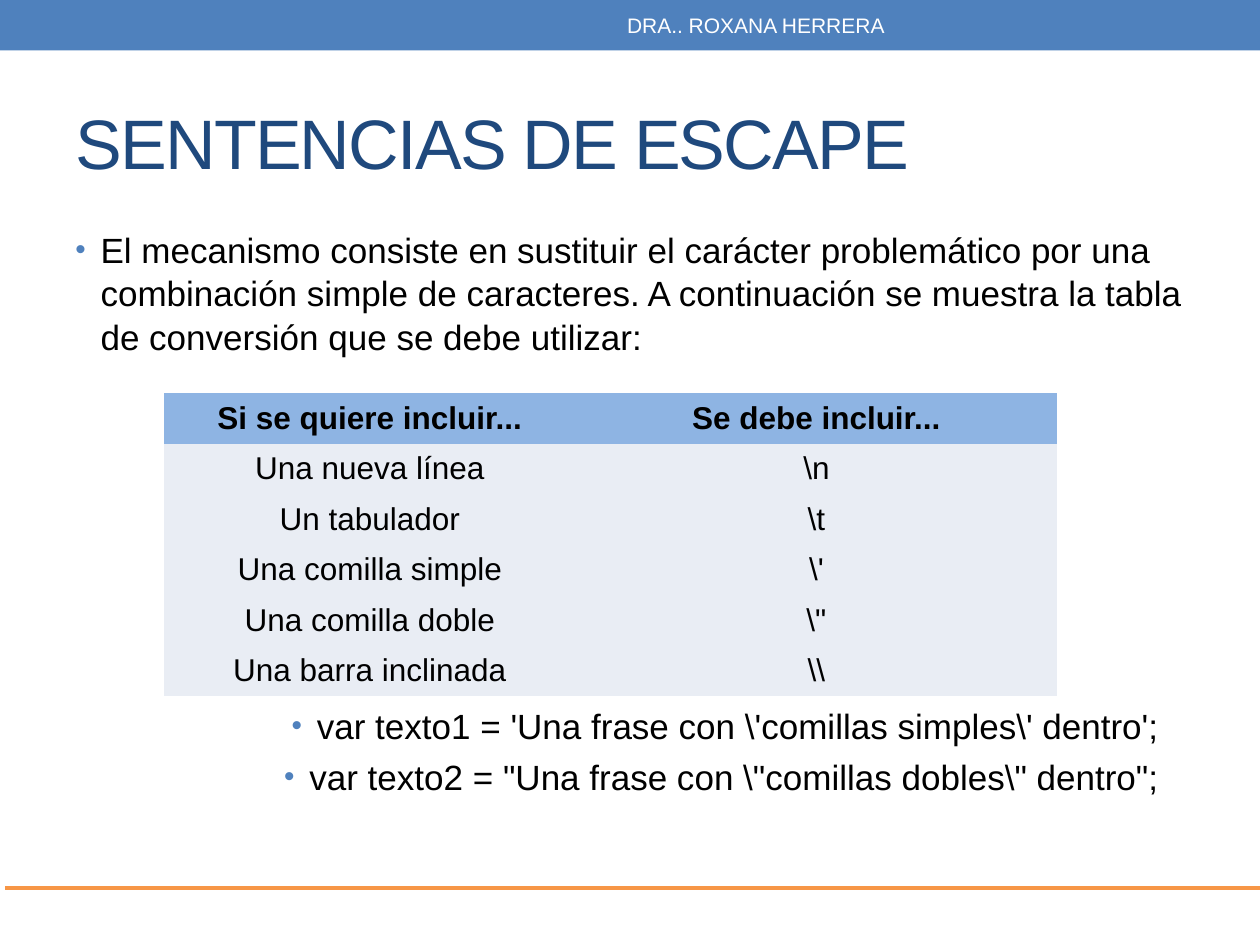
"""Build the slide on JavaScript escape sequences."""
import pptx
import pptx.dml.color
import pptx.enum.shapes
import pptx.enum.text
import pptx.oxml
import pptx.oxml.ns
import pptx.util

COLORS = {"band": "4F81BD", "rule": "F79646", "title": "1F497D", "text": "000000",
          "header": "8EB4E3", "row": "E9EDF4", "white": "FFFFFF"}
ALIGN = pptx.enum.text.PP_ALIGN
MIDDLE = pptx.enum.text.MSO_ANCHOR.MIDDLE
Inches = pptx.util.Inches
qn = pptx.oxml.ns.qn


def color(name):
    return pptx.dml.color.RGBColor.from_string(COLORS[name])


def write(para, text, size, tint="text", bold=False, align=ALIGN.LEFT):
    para.alignment = align
    span = para.add_run()
    span.text = text
    span.font.name = "Arial"
    span.font.size = pptx.util.Pt(size)
    span.font.bold = bold
    span.font.color.rgb = color(tint)
    return span


deck = pptx.Presentation()
deck.slide_width, deck.slide_height = Inches(10), Inches(7.5)
page = deck.slides.add_slide(deck.slide_layouts[5])
width, height = deck.slide_width, deck.slide_height
margin = width * 0.05

band = page.shapes.add_shape(pptx.enum.shapes.MSO_SHAPE.RECTANGLE, 0, 0, width, Inches(0.4))
band.shadow.inherit = False
band.fill.solid()
band.fill.fore_color.rgb = color("band")
band.line.fill.background()

rule_y = int(height * 0.94)
rule = page.shapes.add_connector(
    pptx.enum.shapes.MSO_CONNECTOR.STRAIGHT, Inches(0.04), rule_y, width, rule_y)
rule.line.color.rgb = color("rule")
rule.line.width = pptx.util.Pt(2.25)
rule._element.spPr.append(pptx.oxml.parse_xml(
    f'<a:effectLst {pptx.oxml.ns.nsdecls("a")}/>'))

title = page.shapes.title
title.left, title.top = int(margin), Inches(0.58)
title.width, title.height = int(width * 0.9), Inches(1.08)
title.text_frame.vertical_anchor = MIDDLE
heading = write(title.text_frame.paragraphs[0], "SENTENCIAS DE ESCAPE", 40, "title")
heading._r.get_or_add_rPr().set("spc", "-100")

bullet_lists = [
    (1.75, 9, 1.2, ALIGN.LEFT, [
        "El mecanismo consiste en sustituir el carácter problemático por una "
        "combinación simple de caracteres. A continuación se muestra la tabla "
        "de conversión que se debe utilizar:"]),
    (5.53, 8.8, 0.9, ALIGN.RIGHT, [
        r"var texto1 = 'Una frase con \'comillas simples\' dentro';",
        r'var texto2 = "Una frase con \"comillas dobles\" dentro";']),
]
for top, box_width, box_height, align, lines in bullet_lists:
    box = page.shapes.add_textbox(int(margin), Inches(top), Inches(box_width), Inches(box_height))
    frame = box.text_frame
    frame.word_wrap = True
    for index, line in enumerate(lines):
        para = frame.add_paragraph() if index else frame.paragraphs[0]
        para.line_spacing = 1.04
        para.space_before = pptx.util.Pt(4 if index else 0)
        write(para, line, 20, align=align)
        props = para._p.get_or_add_pPr()
        props.set("marL", str(Inches(0.2)))
        props.set("indent", str(-Inches(0.2)))
        for bullet in (f'<a:buClr {{}}><a:srgbClr val="{COLORS["band"]}"/></a:buClr>',
                       '<a:buSzPct {} val="85000"/>',
                       '<a:buFont {} typeface="Arial"/>',
                       '<a:buChar {} char="•"/>'):
            props.append(pptx.oxml.parse_xml(bullet.format(pptx.oxml.ns.nsdecls("a"))))

escapes = [
    ("Si se quiere incluir...", "Se debe incluir..."),
    ("Una nueva línea", r"\n"),
    ("Un tabulador", r"\t"),
    ("Una comilla simple", r"\'"),
    ("Una comilla doble", r'\"'),
    ("Una barra inclinada", r"\\"),
]
columns = [3.27, 3.82]
row_height = 0.38
holder = page.shapes.add_table(len(escapes), len(columns), Inches(1.3), Inches(3.12),
                               Inches(sum(columns)), Inches(row_height * len(escapes)))
table = holder.table
table.horz_banding = False
table._tbl.tblPr.find(qn("a:tableStyleId")).text = "{2D5ABB26-0587-4C30-8999-92F81FD0307C}"
for column, column_width in zip(table.columns, columns):
    column.width = Inches(column_width)
for row_index, texts in enumerate(escapes):
    table.rows[row_index].height = Inches(row_height)
    is_header = row_index == 0
    for column_index, text in enumerate(texts):
        cell = table.cell(row_index, column_index)
        cell.vertical_anchor = MIDDLE
        cell.fill.solid()
        cell.fill.fore_color.rgb = color("header" if is_header else "row")
        write(cell.text_frame.paragraphs[0], text, 18, bold=is_header, align=ALIGN.CENTER)

author = page.shapes.add_textbox(
    int(width * 0.375), Inches(0.02), int(width * 0.45), Inches(0.36))
author.text_frame.word_wrap = True
author.text_frame.vertical_anchor = MIDDLE
write(author.text_frame.paragraphs[0], "DRA.. ROXANA HERRERA", 12, "white", align=ALIGN.CENTER)

deck.save("out.pptx")
